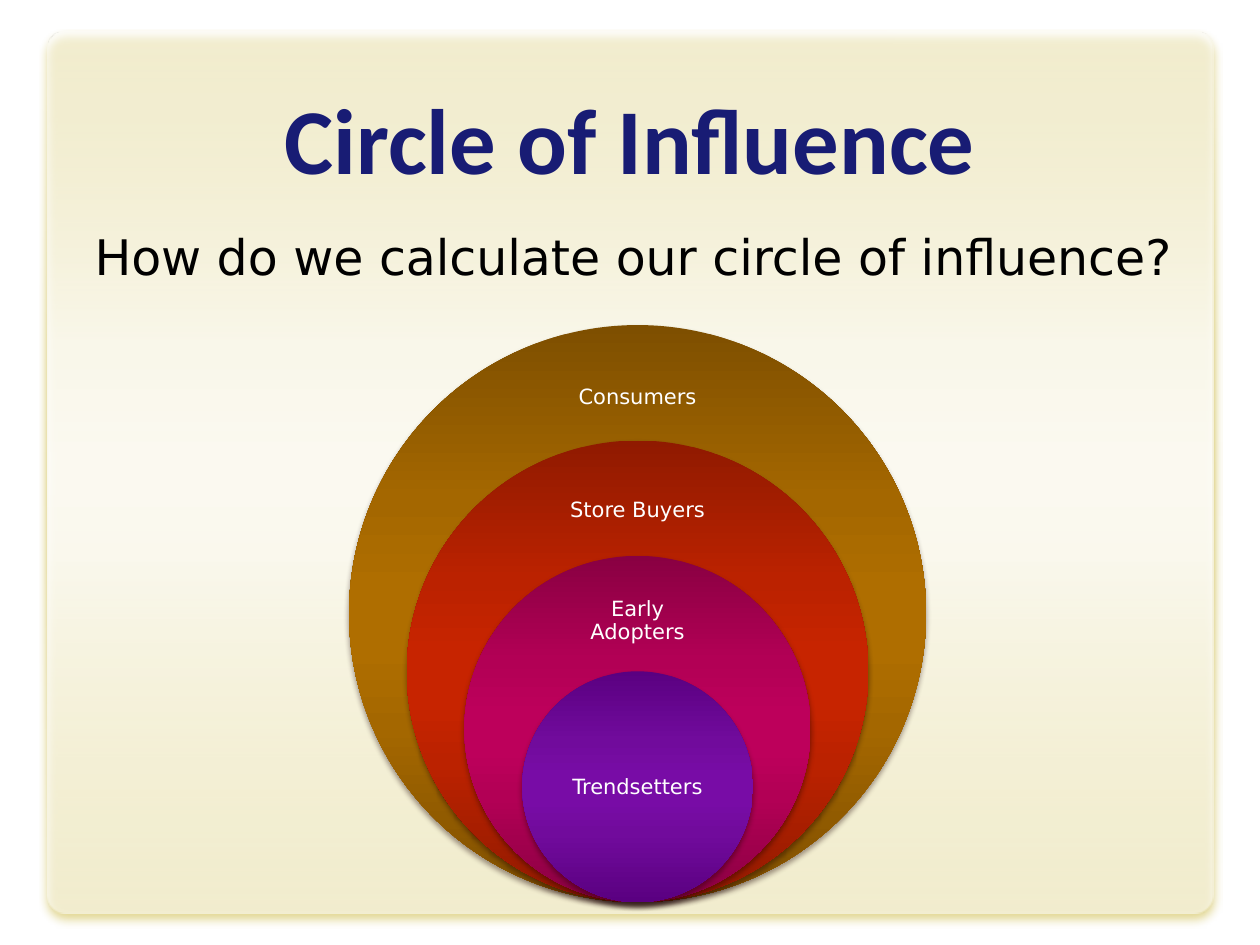
from pptx import Presentation
from pptx.dml.color import RGBColor
from pptx.enum.shapes import MSO_SHAPE
from pptx.enum.text import MSO_ANCHOR, MSO_AUTO_SIZE, PP_ALIGN
from pptx.oxml import parse_xml
from pptx.oxml.ns import nsdecls, qn
from pptx.util import Inches, Pt

OVAL, ROUNDED = MSO_SHAPE.OVAL, MSO_SHAPE.ROUNDED_RECTANGLE
TOP, MIDDLE, BOTTOM = MSO_ANCHOR.TOP, MSO_ANCHOR.MIDDLE, MSO_ANCHOR.BOTTOM
LEFT, CENTER = PP_ALIGN.LEFT, PP_ALIGN.CENTER
NO_FIT = MSO_AUTO_SIZE.NONE

NAVY = RGBColor(0x18, 0x1C, 0x74)
BLACK = RGBColor(0, 0, 0)
WHITE = RGBColor(0xFF, 0xFF, 0xFF)
GOLD = RGBColor(0xC5, 0xAF, 0x25)
DARK = RGBColor(0x1A, 0, 0)
BROWNS = [RGBColor.from_string(c) for c in ("7E4F00", "A46700", "AF6E00")]
REDS = [RGBColor.from_string(c) for c in ("901A00", "BB2200", "C72400")]
PINKS = [RGBColor.from_string(c) for c in ("890042", "B20055", "BD005B")]
PURPLES = [RGBColor.from_string(c) for c in ("5A0081", "710B9C", "780CA6")]


def write_text(shape, text, *, size, color, font="DejaVu Sans", bold=False,
               align=LEFT, anchor=TOP, inset=0.05, spacing=1.0, after=0):
    """Fill a shape with one formatted paragraph and return it."""
    frame = shape.text_frame
    frame.word_wrap = True
    frame.auto_size = NO_FIT
    frame.vertical_anchor = anchor
    frame.margin_left = frame.margin_right = Inches(inset)
    frame.margin_top = frame.margin_bottom = Inches(inset)
    para = frame.paragraphs[0]
    para.alignment, para.line_spacing = align, spacing
    para.space_before, para.space_after = Pt(0), Pt(after)
    span = para.add_run()
    span.text = text
    span.font.name, span.font.size, span.font.bold = font, Pt(size), bold
    span.font.color.rgb = color
    return para


class SlideBuilder:
    """Holds the current slide and draws its elements."""

    def __init__(self, slide):
        """Keep the slide to draw on."""
        self.slide = slide

    def place(self, shape, left, top, width, height):
        """Move and size a shape in inches."""
        shape.left, shape.top = Inches(left), Inches(top)
        shape.width, shape.height = Inches(width), Inches(height)

    def title(self, text):
        """Write the slide title."""
        box = self.slide.shapes.title
        self.place(box, 0.5, 0.33, 9, 1.25)
        write_text(box, text, size=53, color=NAVY, font="Calibri", bold=True,
                   align=CENTER, anchor=BOTTOM)

    def body(self, text):
        """Write the question without a bullet."""
        box = self.slide.placeholders[1]
        self.place(box, 0.5, 1.75, 9, 4.95)
        para = write_text(box, text, size=28, color=BLACK)
        properties = para._p.get_or_add_pPr()
        properties.set("marL", str(Inches(0.2)))
        properties.set("indent", "0")
        properties.append(parse_xml(f"<a:buNone {nsdecls('a')}/>"))

    def gradient_shape(self, kind, at, stops, shadow):
        """Add a vertically shaded shape with a soft shadow."""
        shape = self.slide.shapes.add_shape(kind, *map(Inches, at))
        shape.line.fill.background()
        shape.shadow.inherit = False
        shape.fill.gradient()
        shape.fill.gradient_angle = 270
        properties = shape._element.spPr
        stop_list = properties.find(".//" + qn("a:gsLst"))
        marks = "".join(
            f'<a:gs pos="{place * 1000}"><a:srgbClr val="{color}">'
            f'<a:alpha val="{alpha * 1000}"/></a:srgbClr></a:gs>'
            for place, color, alpha in stops)
        stop_list.getparent().replace(stop_list, parse_xml(
            f"<a:gsLst {nsdecls('a')}>{marks}</a:gsLst>"))
        color, alpha, blur, distance = shadow
        properties.find(qn("a:effectLst")).append(parse_xml(
            f'<a:outerShdw {nsdecls("a")} blurRad="{Pt(blur)}" '
            f'dist="{Pt(distance)}" dir="5400000" rotWithShape="0">'
            f'<a:srgbClr val="{color}"><a:alpha val="{alpha * 1000}"/>'
            "</a:srgbClr></a:outerShdw>"))
        return shape

    def panel(self):
        """Add the translucent panel behind everything."""
        alphas = ((0, 50), (35, 87), (50, 92), (60, 89), (100, 55))
        panel = self.gradient_shape(
            ROUNDED, (0.38, 0.25, 9.25, 7),
            [(place, WHITE, alpha) for place, alpha in alphas],
            (GOLD, 90, 5, 3.6))
        panel.adjustments[0] = 0.022
        self.slide.shapes._spTree.insert(2, panel._element)

    def ring(self, center, bottom, diameter, tones):
        """Add a circle resting on the shared bottom point."""
        edge, middle, core = tones
        colors = (edge, middle, core, core, middle, edge)
        stops = [(place, color, 100)
                 for place, color in zip((0, 30, 46, 56, 70, 100), colors)]
        at = (center - diameter / 2, bottom - diameter, diameter, diameter)
        self.gradient_shape(OVAL, at, stops, (DARK, 40, 3.1, 2))

    def label(self, text, center, top, width, height):
        """Add a centred circle label."""
        at = (center - width / 2, top, width, height)
        box = self.slide.shapes.add_textbox(*map(Inches, at))
        write_text(box, text, size=12, color=WHITE, align=CENTER,
                   anchor=MIDDLE, inset=0.09, spacing=0.9, after=4)


def main():
    """Build and save the slide."""
    deck = Presentation()
    deck.slide_width, deck.slide_height = Inches(10), Inches(7.5)
    page = SlideBuilder(deck.slides.add_slide(deck.slide_layouts[1]))
    page.panel()
    page.title("Circle of Influence")
    page.body("How do we calculate our circle of influence?")
    center, bottom, largest = 5.06, 7.16, 4.58
    circles = (
        ("Consumers", BROWNS, 2.81, 1.28, 0.69),
        ("Store Buyers", REDS, 3.72, 1.28, 0.66),
        ("Early Adopters", PINKS, 4.62, 1.28, 0.62),
        ("Trendsetters", PURPLES, 5.79, 1.3, 0.92),
    )
    for index, (text, tones, top, width, height) in enumerate(circles):
        page.ring(center, bottom, largest * (1 - 0.2 * index), tones)
        page.label(text, center, top, width, height)
    deck.save("out.pptx")


main()
